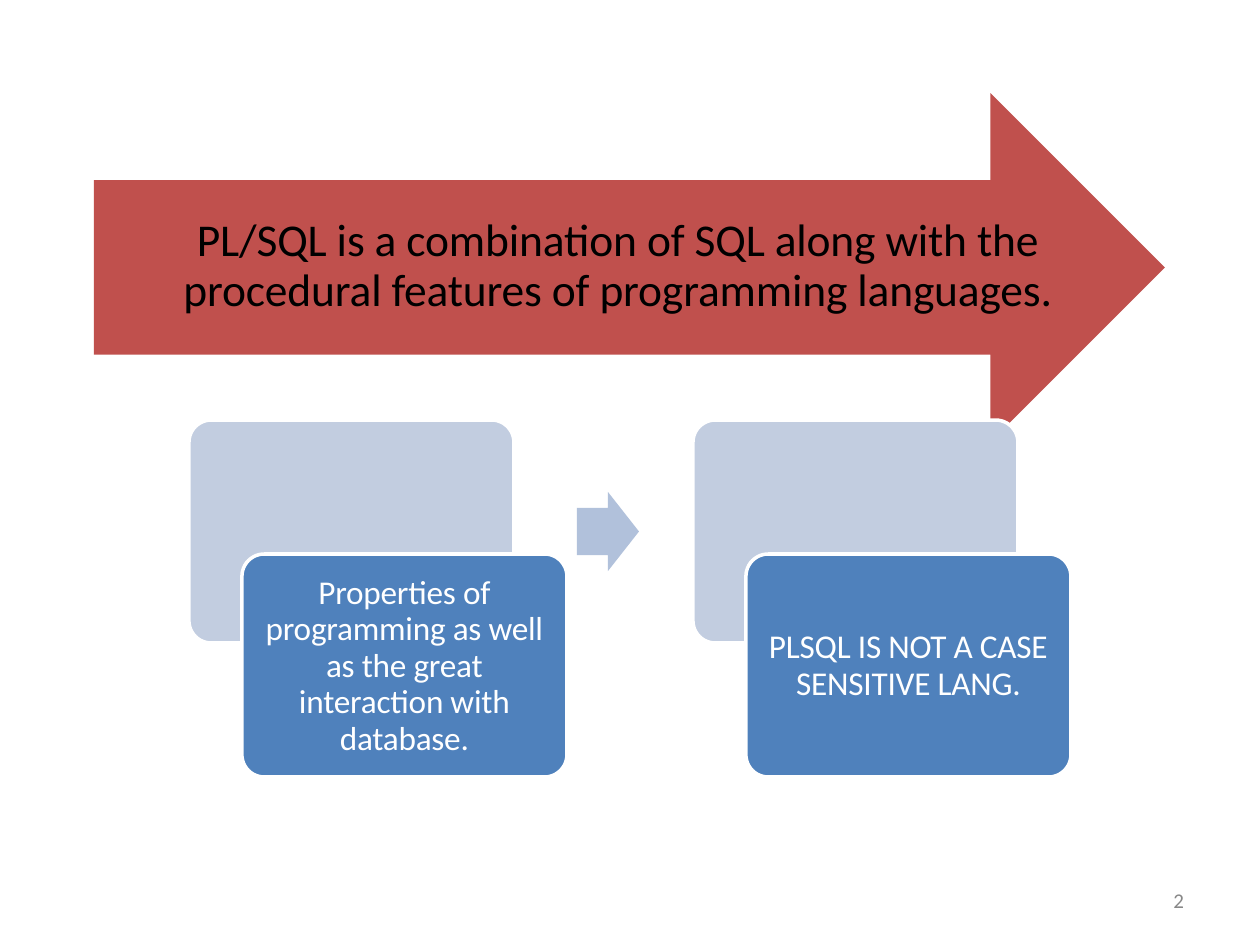
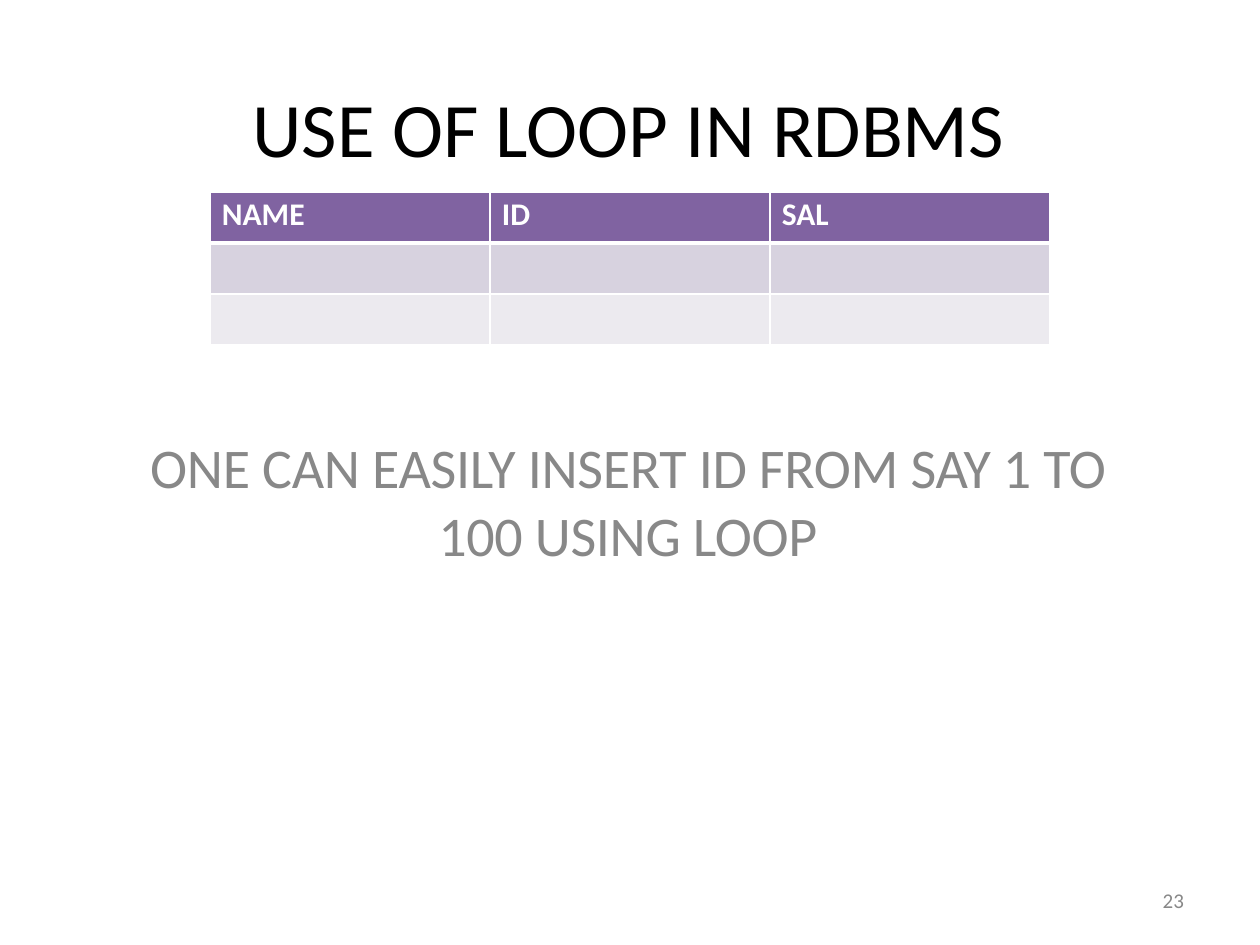
"""Build two slides on PL/SQL: what it is, and loops in an RDBMS."""
from lxml.etree import SubElement
from pptx import Presentation
from pptx.dml.color import RGBColor
from pptx.enum.shapes import MSO_SHAPE
from pptx.enum.text import MSO_ANCHOR, PP_ALIGN
from pptx.oxml.ns import qn
from pptx.util import Emu, Pt

INK = {
    "black": "000000", "white": "FFFFFF", "gray": "888888", "red": "C0504D",
    "pale": "C2CDE0", "blue": "4F81BC", "mist": "B1C1DB",
    "plum": "8063A1", "lilac": "D7D2DF", "haze": "ECEAEF",
}
MID, LEFT, RIGHT = PP_ALIGN.CENTER, PP_ALIGN.LEFT, PP_ALIGN.RIGHT
STYLE = {
    "lead": ("black", -10, {"size": Pt(26)},
             {"alignment": MID, "line_spacing": Pt(28.6), "space_before": Pt(4.2)}),
    "card": ("white", -10, {"size": Pt(19)},
             {"alignment": MID, "line_spacing": Pt(20.9)}),
    "title": ("black", 0, {"size": Pt(44)}, {"alignment": MID, "space_before": Pt(1.1)}),
    "note": ("gray", -20, {"size": Pt(32)}, {"alignment": MID, "space_before": Pt(1.1)}),
    "page": ("gray", 0, {"size": Pt(12)}, {"alignment": RIGHT, "line_spacing": Pt(12.4)}),
    "head": ("white", 0, {"size": Pt(18), "bold": True},
             {"alignment": LEFT, "space_before": Pt(2.4)}),
}
FRAME = {"margin_left": 0, "margin_right": 0, "margin_top": 0,
         "margin_bottom": 0, "word_wrap": True}


def px(*nums):
    """Turn pixels into EMU."""
    return [Emu(num * 914400 // 126) for num in nums]


def write(frame, text, style):
    """Fill a text frame in a named style."""
    ink, gap, font, para = STYLE[style]
    for key, val in FRAME.items():
        setattr(frame, key, val)
    line = frame.paragraphs[0]
    line.text = text
    for key, val in para.items():
        setattr(line, key, val)
    for run in line.runs:
        for key, val in {"name": "Calibri", **font}.items():
            setattr(run.font, key, val)
        run.font.color.rgb = RGBColor.from_string(INK[ink])
        run._r.get_or_add_rPr().set("spc", str(gap))


deck = Presentation()
deck.slide_width, deck.slide_height = px(1260, 945)
intro, loops = [deck.slides.add_slide(deck.slide_layouts[6]) for _ in range(2)]

ARROW, ROUND = MSO_SHAPE.RIGHT_ARROW, MSO_SHAPE.ROUNDED_RECTANGLE
CARD = (325, 223)
SHAPES = [(ARROW, (94, 93, 1071, 349), "red", (0.5, 0.5), "")]
CARDS = [
    (189, "Properties of\vprogramming as well\vas the great\vinteraction with\vdatabase."),
    (693, "PLSQL IS NOT A CASE\vSENSITIVE LANG."),
]
for left, text in CARDS:
    SHAPES += [(ROUND, (left, 420, *CARD), "pale", (0.1,), ""),
               (ROUND, (left + 53, 554, *CARD), "blue", (0.1,), text)]
SHAPES.append((ARROW, (577, 492, 62, 79), "mist", (0.6, 0.5), ""))

for kind, box, ink, bends, text in SHAPES:
    shape = intro.shapes.add_shape(kind, *px(*box))
    shape.shadow.inherit = False
    shape.fill.solid()
    shape.fill.fore_color.rgb = RGBColor.from_string(INK[ink])
    for spot, bend in enumerate(bends):
        shape.adjustments[spot] = bend
    if kind == ROUND:
        shape.line.color.rgb = RGBColor.from_string(INK["white"])
        shape.line.width = Pt(2)
    else:
        shape.line.fill.background()
    if text:
        write(shape.text_frame, text, "card")
        shape.text_frame.vertical_anchor = MSO_ANCHOR.MIDDLE

TEXTS = [
    (intro, (170, 216, 896, 100), "lead",
     "PL/SQL is a combination of SQL along with the\v"
     "procedural features of programming languages."),
    (intro, (1124, 891, 60, 24), "page", "2"),
    (loops, (1124, 891, 60, 24), "page", "23"),
    (loops, (240, 80, 778, 95), "title", "USE OF LOOP IN RDBMS"),
    (loops, (130, 433, 996, 138), "note",
     "ONE CAN EASILY INSERT ID FROM SAY 1 TO\v100 USING LOOP"),
]
for slide, box, style, text in TEXTS:
    write(slide.shapes.add_textbox(*px(*box)).text_frame, text, style)

HEADS = ("NAME", "ID", "SAL")
ROWS = [("plum", HEADS, 1, 3), ("lilac", ("",) * 3, 3, 1), ("haze", ("",) * 3, 1, 1)]
grid = loops.shapes.add_table(3, 3, *px(210, 192, 840, 153)).table
for row, (ink, words, top, base) in enumerate(ROWS):
    for col, word in enumerate(words):
        cell = grid.cell(row, col)
        write(cell.text_frame, word, "head")
        edge = cell._tc.get_or_add_tcPr()
        for side, wide in {"L": 1, "R": 1, "T": top, "B": base}.items():
            rule = SubElement(edge, qn(f"a:ln{side}"), w=str(Pt(wide)))
            paint = SubElement(rule, qn("a:solidFill"))
            SubElement(paint, qn("a:srgbClr"), val=INK["white"])
        cell.fill.solid()
        cell.fill.fore_color.rgb = RGBColor.from_string(INK[ink])
        cell.margin_left, cell.margin_top, cell.margin_right, cell.margin_bottom = px(12, 4, 0, 0)

deck.save("out.pptx")
